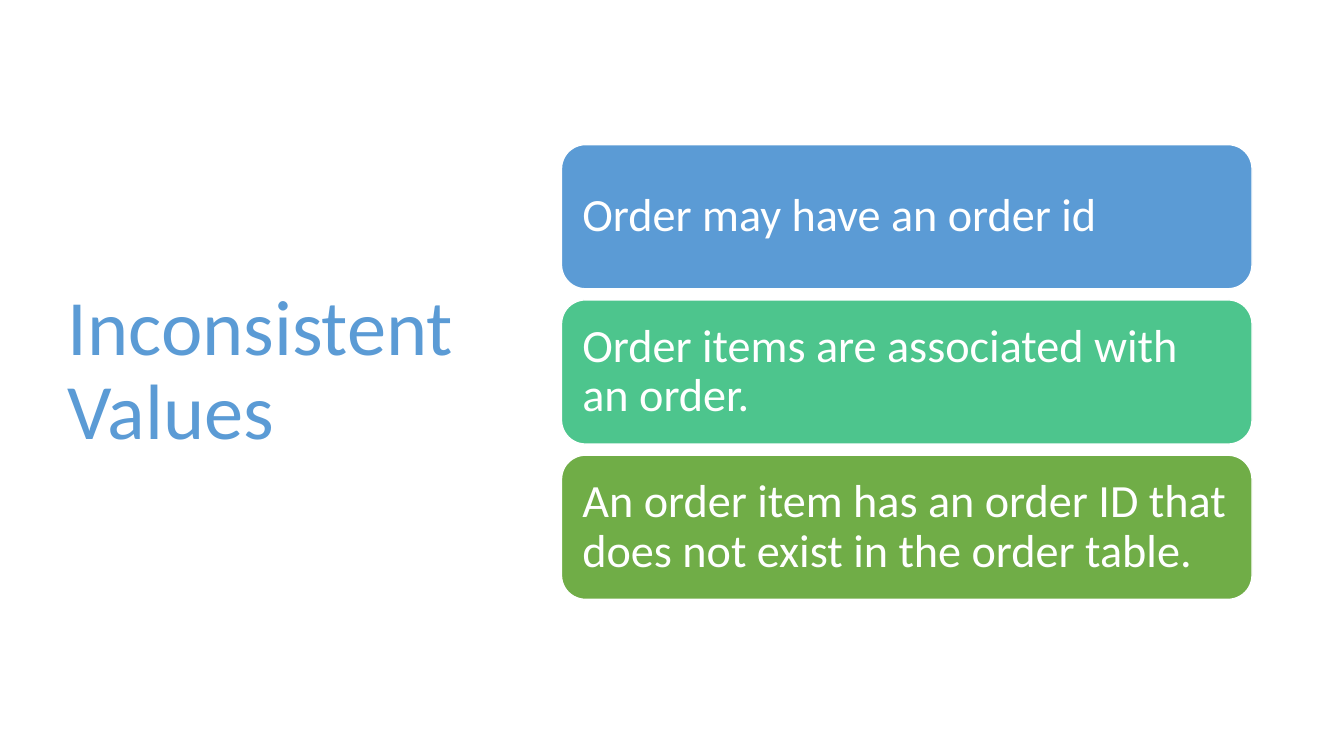
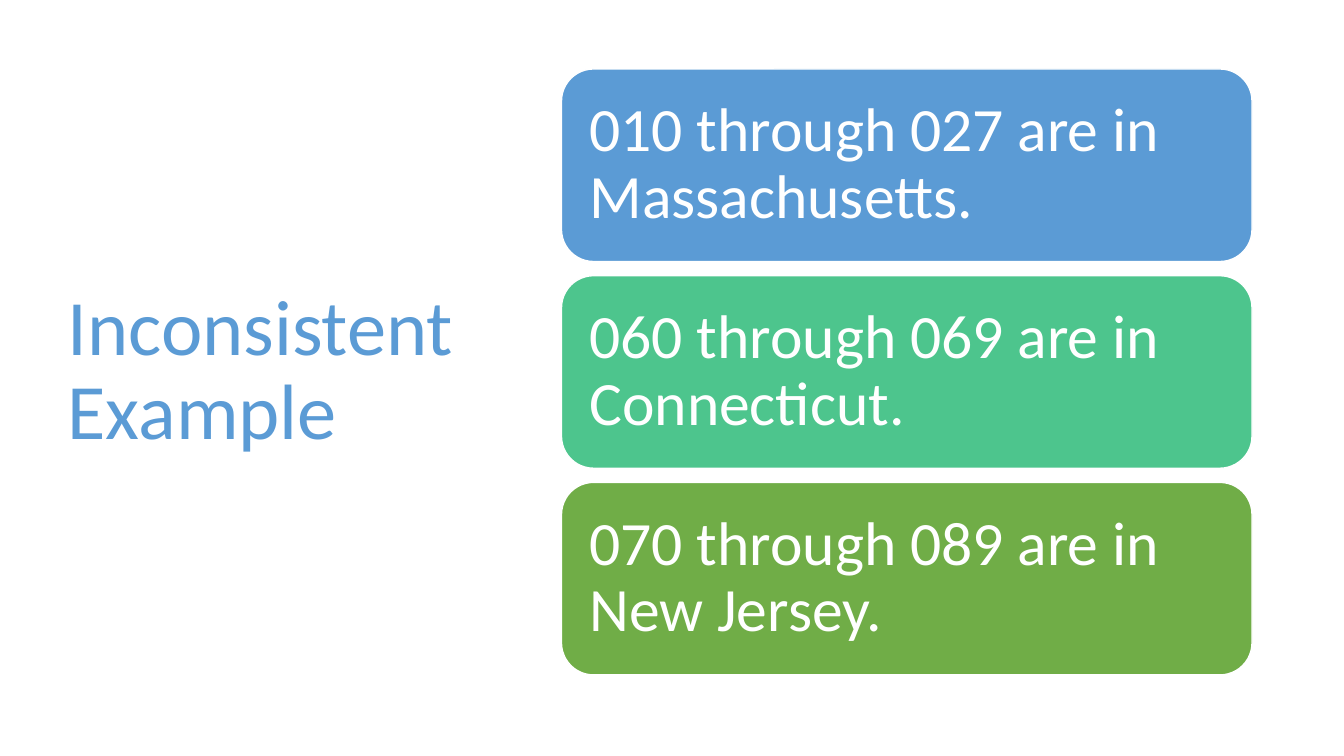
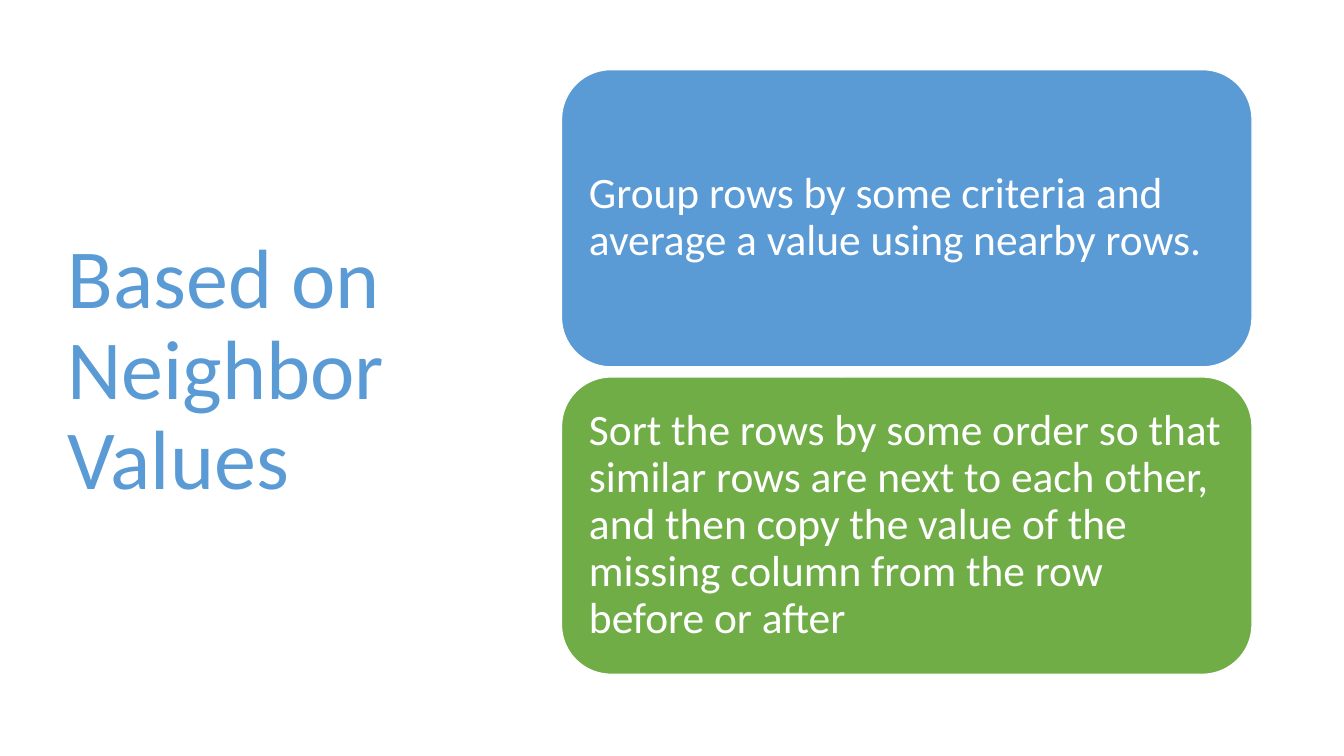
from pptx import Presentation
from pptx.dml.color import RGBColor
from pptx.enum.shapes import MSO_SHAPE
from pptx.enum.text import MSO_ANCHOR, MSO_AUTO_SIZE, PP_ALIGN
from pptx.util import Inches, Pt

ROUNDED = MSO_SHAPE.ROUNDED_RECTANGLE
MIDDLE = MSO_ANCHOR.MIDDLE
NO_FIT = MSO_AUTO_SIZE.NONE
LEFT = PP_ALIGN.LEFT

COLORS = {"blue": "5B9BD5", "teal": "4DC58D", "green": "70AD47", "white": "FFFFFF"}
FONT = "Calibri"
TITLE_ONLY = 5

deck = Presentation()
deck.slide_width = Inches(13.33)
deck.slide_height = Inches(7.5)
COLUMN = deck.slide_width / 100
ROW = deck.slide_height / 100

TITLE_LEFT, TITLE_WIDTH = 4.28, 31.2
TITLE_TOP, TITLE_HEIGHT = 9.07, 80.27
CARD_LEFT, CARD_WIDTH = 41.78, 51.38
CENTER = TITLE_TOP + TITLE_HEIGHT / 2
INSET_PER_POINT = 0.3

SLIDES = [
    {
        "title": "Inconsistent Values",
        "title_size": 56,
        "card_size": 33,
        "card_height": 19.07,
        "gap": 1.47,
        "cards": [
            ("blue", "Order may have an order id"),
            ("teal", "Order items are associated with an order."),
            ("green", "An order item has an order ID that does not exist in the order table."),
        ],
    },
    {
        "title": "Inconsistent Example",
        "title_size": 56,
        "card_size": 44,
        "card_height": 25.47,
        "gap": 1.87,
        "cards": [
            ("blue", "010 through 027 are in Massachusetts."),
            ("teal", "060 through 069 are in Connecticut."),
            ("green", "070 through 089 are in New Jersey."),
        ],
    },
    {
        "title": "Based on Neighbor Values",
        "title_size": 60,
        "card_size": 31,
        "card_height": 39.33,
        "gap": 1.33,
        "cards": [
            ("blue", "Group rows by some criteria and average a value using nearby rows."),
            ("green", "Sort the rows by some order so that similar rows are next to each "
                      "other, and then copy the value of the missing column from the row "
                      "before or after"),
        ],
    },
]


def write(box, text, size, color, inset=None):
    frame = box.text_frame
    frame.word_wrap = True
    frame.auto_size = NO_FIT
    frame.vertical_anchor = MIDDLE
    if inset is not None:
        frame.margin_left = frame.margin_right = Pt(inset)
        frame.margin_top = frame.margin_bottom = Pt(inset)
    para = frame.paragraphs[0]
    para.alignment = LEFT
    para.line_spacing = 0.9
    span = para.add_run()
    span.text = text
    span.font.name = FONT
    span.font.size = Pt(size)
    span.font.color.rgb = RGBColor.from_string(COLORS[color])


layout = deck.slide_layouts[TITLE_ONLY]
layout_title = layout.placeholders[0]
layout_title.left = int(TITLE_LEFT * COLUMN)
layout_title.top = int(TITLE_TOP * ROW)
layout_title.width = int(TITLE_WIDTH * COLUMN)
layout_title.height = int(TITLE_HEIGHT * ROW)

for content in SLIDES:
    page = deck.slides.add_slide(layout)
    write(page.shapes.title, content["title"], size=content["title_size"], color="blue")

    count = len(content["cards"])
    height = content["card_height"]
    pitch = height + content["gap"]
    top = CENTER - (count * pitch - content["gap"]) / 2
    for index, (fill, text) in enumerate(content["cards"]):
        card = page.shapes.add_shape(
            ROUNDED,
            int(CARD_LEFT * COLUMN),
            int((top + index * pitch) * ROW),
            int(CARD_WIDTH * COLUMN),
            int(height * ROW),
        )
        card.shadow.inherit = False
        card.fill.solid()
        card.fill.fore_color.rgb = RGBColor.from_string(COLORS[fill])
        card.line.color.rgb = RGBColor.from_string(COLORS["white"])
        card.line.width = Pt(1)
        size = content["card_size"]
        write(card, text, size=size, color="white", inset=size * INSET_PER_POINT)

deck.save("out.pptx")
